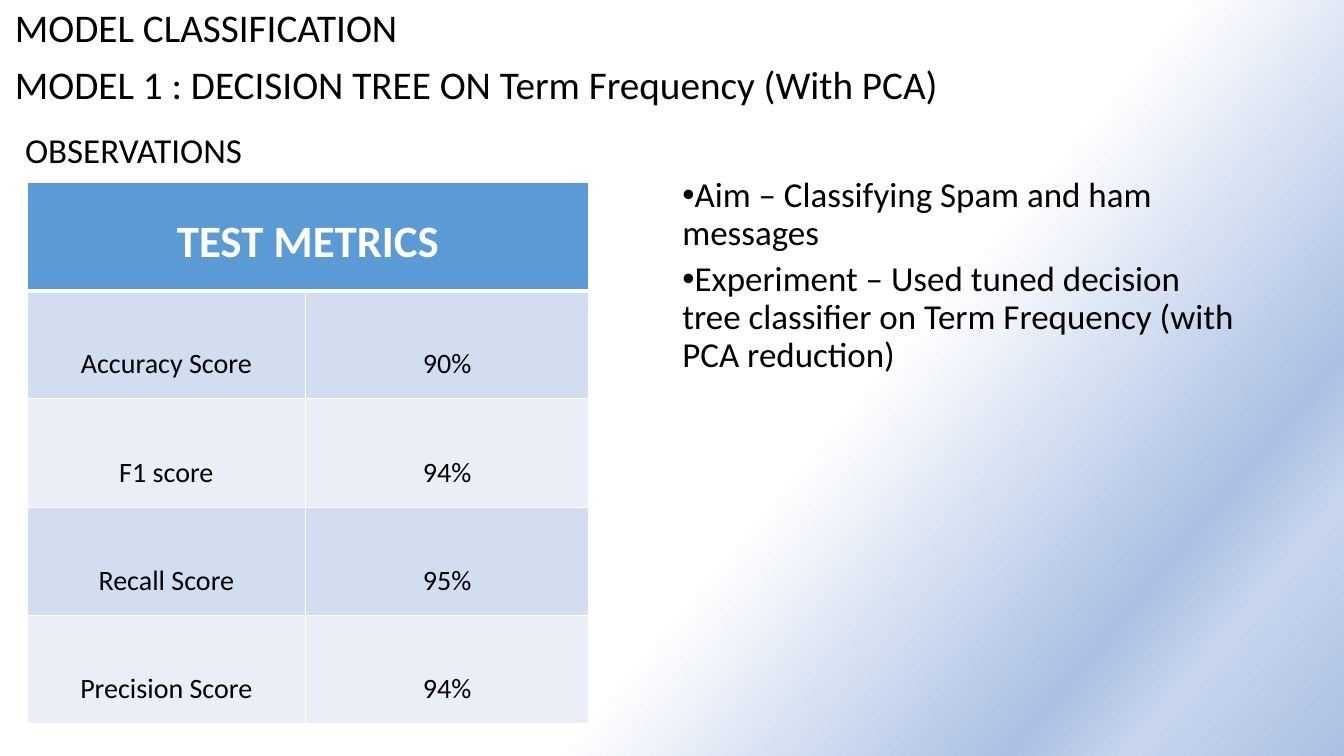
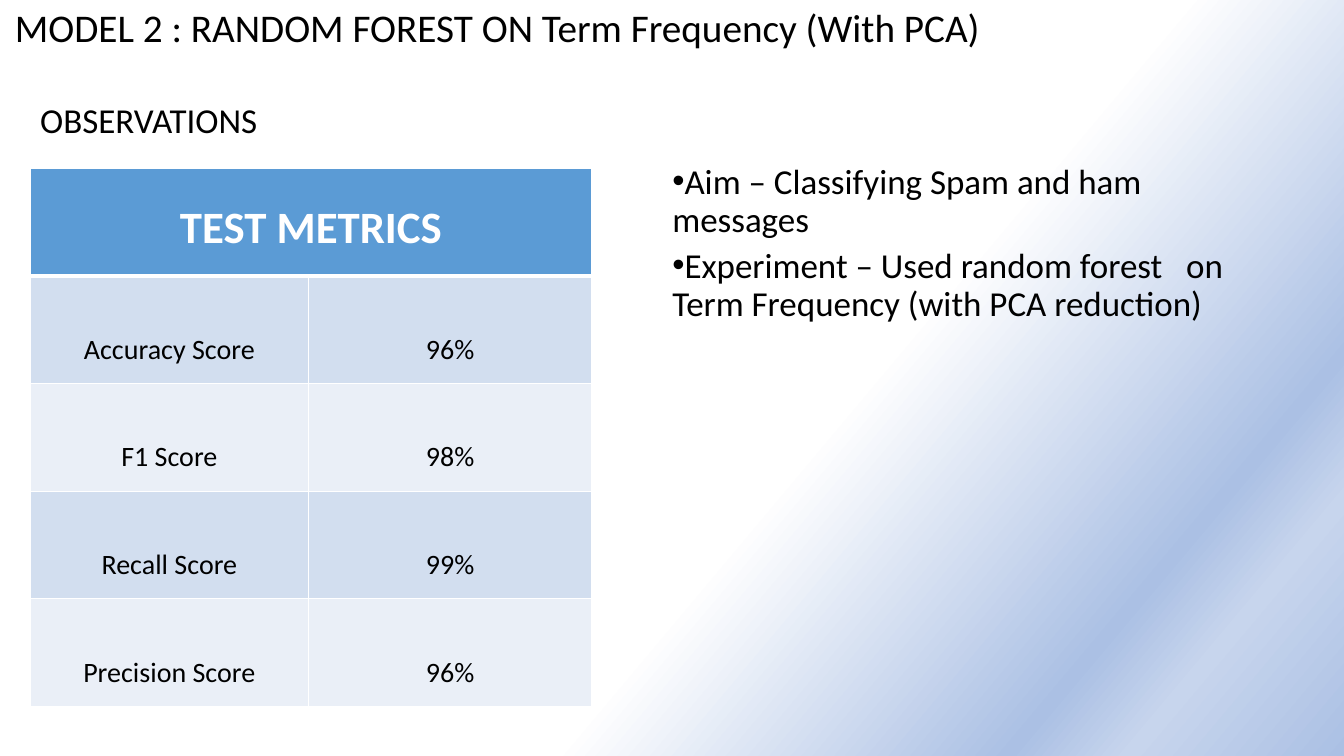
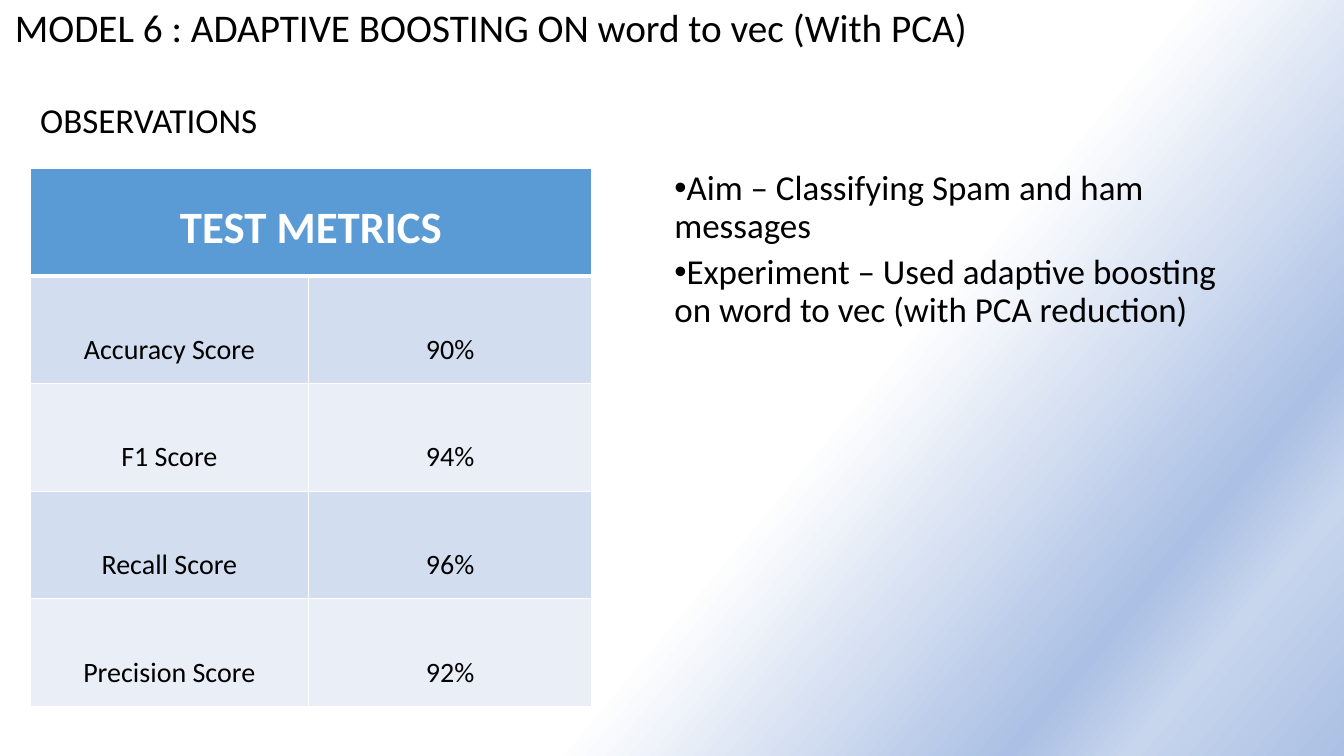
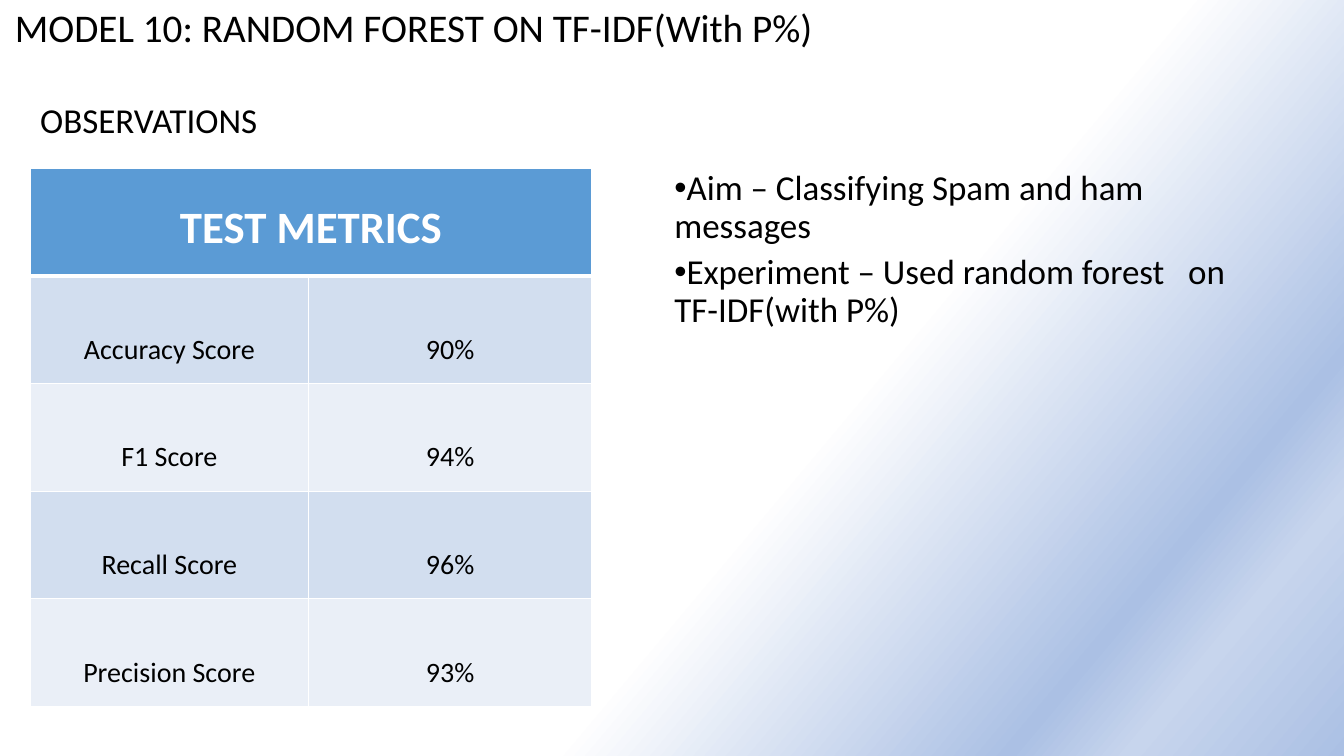
from lxml import etree
from pptx import Presentation
from pptx.dml.color import RGBColor
from pptx.enum.text import MSO_ANCHOR, PP_ALIGN
from pptx.oxml import parse_xml
from pptx.oxml.ns import nsdecls, qn
from pptx.util import Inches, Pt

TOP, MIDDLE = MSO_ANCHOR.TOP, MSO_ANCHOR.MIDDLE
CENTER = PP_ALIGN.CENTER
FONT = "Calibri"
BLACK, WHITE, HEADER_BLUE = "000000", "FFFFFF", "5B9BD5"
BAND_COLORS = ["D2DEEF", "EAEFF7"]
BACKGROUND_STOPS = [(60, "FFFFFF"), (83, "ABC0E4"), (89, "C7D5ED"), (100, "ABC0E4")]
BACKGROUND_ANGLE = 40
COLUMN_WIDTHS = [2.76, 2.81]

TITLE_FORMAT = {"line_spacing": 0.9, "space_before": Pt(10)}
BODY_FORMAT = {"line_spacing": 0.9, "space_after": Pt(6)}
HEADER_FORMAT = {"alignment": CENTER, "line_spacing": 1.5}
CELL_FORMAT = {"alignment": CENTER, "line_spacing": 2.5}

AIM = "Aim – Classifying Spam and ham messages"
MODELS = [
    {
        "titles": ["MODEL CLASSIFICATION", "MODEL 1 : DECISION TREE ON Term Frequency (With PCA)"],
        "experiment": "Experiment – Used tuned decision tree classifier on Term Frequency (with PCA reduction)",
        "f1_label": "F1 score",
        "scores": ["90%", "94%", "95%", "94%"],
        "table": (0.27, 1.81, 5.37),
        "bullets": (6.67, 1.15),
        "heading": (0.15, 1.13),
    },
    {
        "titles": ["MODEL 2 : RANDOM FOREST ON Term Frequency (With PCA)"],
        "experiment": "Experiment – Used random forest   on Term Frequency (with PCA reduction)",
        "scores": ["96%", "98%", "99%", "96%"],
        "bullets": (6.57, 0.83),
    },
    {
        "titles": ["MODEL 6 : ADAPTIVE BOOSTING ON word to vec (With PCA)"],
        "experiment": "Experiment – Used adaptive boosting on word to vec (with PCA reduction)",
        "scores": ["90%", "94%", "96%", "92%"],
    },
    {
        "titles": ["MODEL 10: RANDOM FOREST ON TF-IDF(With P%)"],
        "experiment": "Experiment – Used random forest   on TF-IDF(with P%)",
        "scores": ["90%", "94%", "96%", "93%"],
    },
]
DEFAULTS = {
    "f1_label": "F1 Score",
    "table": (0.3, 1.67, 5.34),
    "bullets": (6.59, 0.89),
    "heading": (0.3, 0.83),
}


def write_text(text_frame, lines, size, paragraph_format, color=BLACK, bold=False, bullet=None):
    for index, line in enumerate(lines):
        paragraph = text_frame.add_paragraph() if index else text_frame.paragraphs[0]
        for name, value in paragraph_format.items():
            setattr(paragraph, name, value)
        run = paragraph.add_run()
        run.text = line
        for name, value in {"name": FONT, "size": Pt(size), "bold": bold}.items():
            setattr(run.font, name, value)
        run.font.color.rgb = RGBColor.from_string(color)
        if bullet:
            properties = paragraph._p.get_or_add_pPr()
            properties.set("marL", "0")
            properties.set("indent", str(-Inches(0.25)))
            etree.SubElement(properties, qn("a:buFont"), typeface="Arial")
            etree.SubElement(properties, qn("a:buChar"), char=bullet)


def style_cell(cell, color, top_width, bottom_width):
    properties = cell._tc.get_or_add_tcPr()
    for side, width in {"L": 1, "R": 1, "T": top_width, "B": bottom_width}.items():
        line = etree.SubElement(properties, qn(f"a:ln{side}"), w=str(Pt(width)))
        fill = etree.SubElement(line, qn("a:solidFill"))
        etree.SubElement(fill, qn("a:srgbClr"), val=WHITE)
    cell.fill.solid()
    cell.fill.fore_color.rgb = RGBColor.from_string(color)


presentation = Presentation()
presentation.slide_width = Inches(13.33)
presentation.slide_height = Inches(7.5)

background_fill = presentation.slide_master.background.fill
background_fill.gradient()
gradient = presentation.slide_master._element.find(".//" + qn("a:gradFill"))
stops = "".join(
    f'<a:gs pos="{position * 1000}"><a:srgbClr val="{color}"/></a:gs>'
    for position, color in BACKGROUND_STOPS
)
gradient.getparent().replace(gradient, parse_xml(
    f'<a:gradFill {nsdecls("a")} rotWithShape="1"><a:gsLst>{stops}</a:gsLst>'
    f'<a:lin ang="{BACKGROUND_ANGLE * 60000}" scaled="0"/></a:gradFill>'
))

for model in MODELS:
    model = DEFAULTS | model
    slide = presentation.slides.add_slide(presentation.slide_layouts[6])

    title_box = slide.shapes.add_textbox(Inches(0.05), Inches(0.04), Inches(13.25), Inches(7.43))
    title_box.text_frame.word_wrap = True
    title_box.text_frame.vertical_anchor = TOP
    write_text(title_box.text_frame, model["titles"], 28, TITLE_FORMAT)

    labels = ["Accuracy Score", model["f1_label"], "Recall Score", "Precision Score"]
    row_count = len(labels) + 1
    left, top, height = model["table"]
    table = slide.shapes.add_table(
        row_count, 2, Inches(left), Inches(top), Inches(sum(COLUMN_WIDTHS)), Inches(height)
    ).table
    for column, width in zip(table.columns, COLUMN_WIDTHS):
        column.width = Inches(width)
    for row in table.rows:
        row.height = Inches(height / row_count)
    for cell in table.rows[0].cells:
        style_cell(cell, HEADER_BLUE, 1, 3)
    table.cell(0, 0).merge(table.cell(0, 1))
    write_text(table.cell(0, 0).text_frame, ["TEST METRICS"], 32, HEADER_FORMAT, WHITE, True)
    for row_index, values in enumerate(zip(labels, model["scores"]), start=1):
        for column_index, value in enumerate(values):
            cell = table.cell(row_index, column_index)
            style_cell(cell, BAND_COLORS[(row_index - 1) % 2], 3 if row_index == 1 else 1, 1)
            write_text(cell.text_frame, [value], 20, CELL_FORMAT)

    for position, size, lines, bullet in [
        (model["bullets"], (5.69, 3.18), [AIM, model["experiment"]], "•"),
        (model["heading"], (2.8, 0.76), ["OBSERVATIONS"], None),
    ]:
        text_box = slide.shapes.add_textbox(*[Inches(length) for length in position + size])
        text_box.text_frame.word_wrap = True
        text_box.text_frame.vertical_anchor = MIDDLE
        write_text(text_box.text_frame, lines, 25, BODY_FORMAT, bullet=bullet)

presentation.save("out.pptx")
